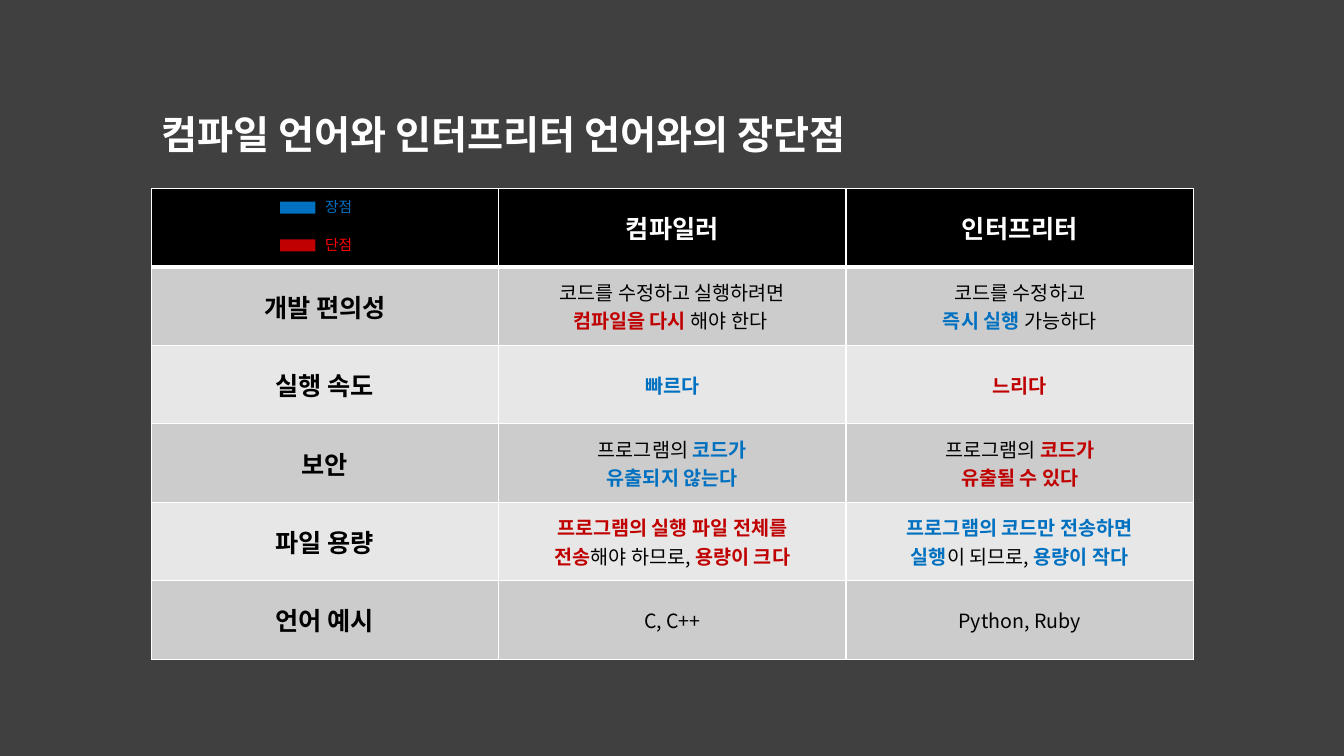
"""Build a slide comparing compiled and interpreted languages."""
import dataclasses
import lxml.etree
import pptx
import pptx.dml.color
import pptx.enum.shapes
import pptx.enum.text
import pptx.oxml.ns
import pptx.util

Pt = pptx.util.Pt
qn = pptx.oxml.ns.qn
MID = pptx.enum.text.MSO_ANCHOR.MIDDLE
LEFT = pptx.enum.text.PP_ALIGN.LEFT
CENTER = pptx.enum.text.PP_ALIGN.CENTER


@dataclasses.dataclass(frozen=True)
class Theme:
    font: str = "Noto Sans CJK KR"
    back: str = "404040"
    white: str = "FFFFFF"
    black: str = "000000"
    good: str = "0070C0"
    bad: str = "C00000"
    red: str = "FF0000"
    bands: tuple = ("CCCCCC", "E7E7E7")
    title: float = 28
    head: float = 18
    body: float = 14
    key: float = 10.5


class Deck:
    def __init__(self, theme):
        self.theme = theme
        self.file = pptx.Presentation()
        self.file.slide_width, self.file.slide_height = Pt(960), Pt(540)
        self.slide = self.file.slides.add_slide(self.file.slide_layouts[5])
        self.paint(self.slide.background.fill, theme.back)

    def paint(self, fill, color):
        fill.solid()
        fill.fore_color.rgb = pptx.dml.color.RGBColor.from_string(color)

    def style(self, para, size, color, bold=False, align=LEFT):
        para.alignment = align
        font = para.font
        font.name, font.size, font.bold = self.theme.font, Pt(size), bold
        self.paint(font.fill, color)
        props = para._p.pPr.find(qn("a:defRPr"))
        east = lxml.etree.Element(qn("a:ea"), typeface=self.theme.font)
        props.find(qn("a:latin")).addnext(east)

    def title(self, text, box):
        shape = self.slide.shapes.title
        shape.left, shape.top, shape.width, shape.height = map(Pt, box)
        frame = shape.text_frame
        frame.text = text
        frame.word_wrap = True
        frame.auto_size = pptx.enum.text.MSO_AUTO_SIZE.NONE
        frame.vertical_anchor = MID
        self.style(frame.paragraphs[0], self.theme.title, self.theme.white, True)

    def rect(self, color, box):
        kind = pptx.enum.shapes.MSO_SHAPE.RECTANGLE
        shape = self.slide.shapes.add_shape(kind, *map(Pt, box))
        shape.shadow.inherit = False
        self.paint(shape.fill, color)
        shape.line.fill.background()

    def label(self, text, color, box):
        frame = self.slide.shapes.add_textbox(*map(Pt, box)).text_frame
        frame.word_wrap = False
        frame.text = text
        self.style(frame.paragraphs[0], self.theme.key, color)

    def edge(self, cell, low):
        props = cell._tc.get_or_add_tcPr()
        for spot, side in enumerate("LRTB"):
            width = low if side == "B" else 1
            line = lxml.etree.Element(qn("a:ln" + side), w=str(Pt(width)))
            fill = lxml.etree.SubElement(line, qn("a:solidFill"))
            lxml.etree.SubElement(fill, qn("a:srgbClr"), val=self.theme.white)
            props.insert(spot, line)

    def cell(self, cell, lines, fill, size, color, bold, low=1):
        cell.vertical_anchor = MID
        self.paint(cell.fill, fill)
        self.edge(cell, low)
        frame = cell.text_frame
        for num, line in enumerate(lines):
            para = frame.add_paragraph() if num else frame.paragraphs[0]
            tones = {tone for tone, _ in line}
            tone = tones.pop() if len(tones) == 1 else None
            self.style(para, size, tone or color, bold or bool(tone), CENTER)
            for mark, text in line:
                run = para.add_run()
                run.text = text
                if mark and not tone:
                    run.font.bold = True
                    self.paint(run.font.fill, mark)

    def table(self, heads, rows, box):
        theme = self.theme
        size = len(rows) + 1, len(heads)
        table = self.slide.shapes.add_table(*size, *map(Pt, box)).table
        for col in table.columns:
            col.width = Pt(box[2] / size[1])
        for row in table.rows:
            row.height = Pt(box[3] / size[0])
        for col, text in enumerate(heads):
            lines = [[(None, text)]] if text else []
            self.cell(table.cell(0, col), lines, theme.black,
                      theme.head, theme.white, True, 3)
        for num, (name, *facts) in enumerate(rows):
            band = theme.bands[num % 2]
            self.cell(table.cell(num + 1, 0), [[(None, name)]], band,
                      theme.head, theme.black, True)
            for col, lines in enumerate(facts, 1):
                self.cell(table.cell(num + 1, col), lines, band,
                          theme.body, theme.black, False)


theme = Theme()
deck = Deck(theme)


def good(text):
    return theme.good, text


def bad(text):
    return theme.bad, text


def plain(text):
    return None, text


heads = ["", "컴파일러", "인터프리터"]
rows = [
    ("개발 편의성",
     [[plain("코드를 수정하고 실행하려면")],
      [bad("컴파일을 다시 "), plain("해야 한다 ")]],
     [[plain("코드를 수정하고")],
      [good("즉시 실행 "), plain("가능하다")]]),
    ("실행 속도", [[good("빠르다")]], [[bad("느리다")]]),
    ("보안",
     [[plain("프로그램의 "), good("코드가")], [good("유출되지 않는다")]],
     [[plain("프로그램의 "), bad("코드가")], [bad("유출될 수 있다")]]),
    ("파일 용량",
     [[bad("프로그램의 실행 파일 전체를")],
      [bad("전송"), plain("해야 하므로, "), bad("용량이 크다")]],
     [[good("프로그램의 코드만 전송하면")],
      [good("실행"), plain("이 되므로, "), good("용량이 작다")]]),
    ("언어 예시", [[plain("C, C++")]], [[plain("Python, Ruby")]]),
]
deck.table(heads, rows, (108, 134.6, 744.6, 336.3))
deck.title("컴파일 언어와 인터프리터 언어와의 장단점", (108, 66.2, 744.6, 59))

keys = [("장점", theme.good, theme.good), ("단점", theme.bad, theme.red)]
for num, (text, fill, color) in enumerate(keys):
    drop = num * 27
    deck.rect(fill, (200, 144 + drop, 25.2, 8.6))
    deck.label(text, color, (225.2, 137.6 + drop, 36.5, 20.5))

deck.file.save("out.pptx")
